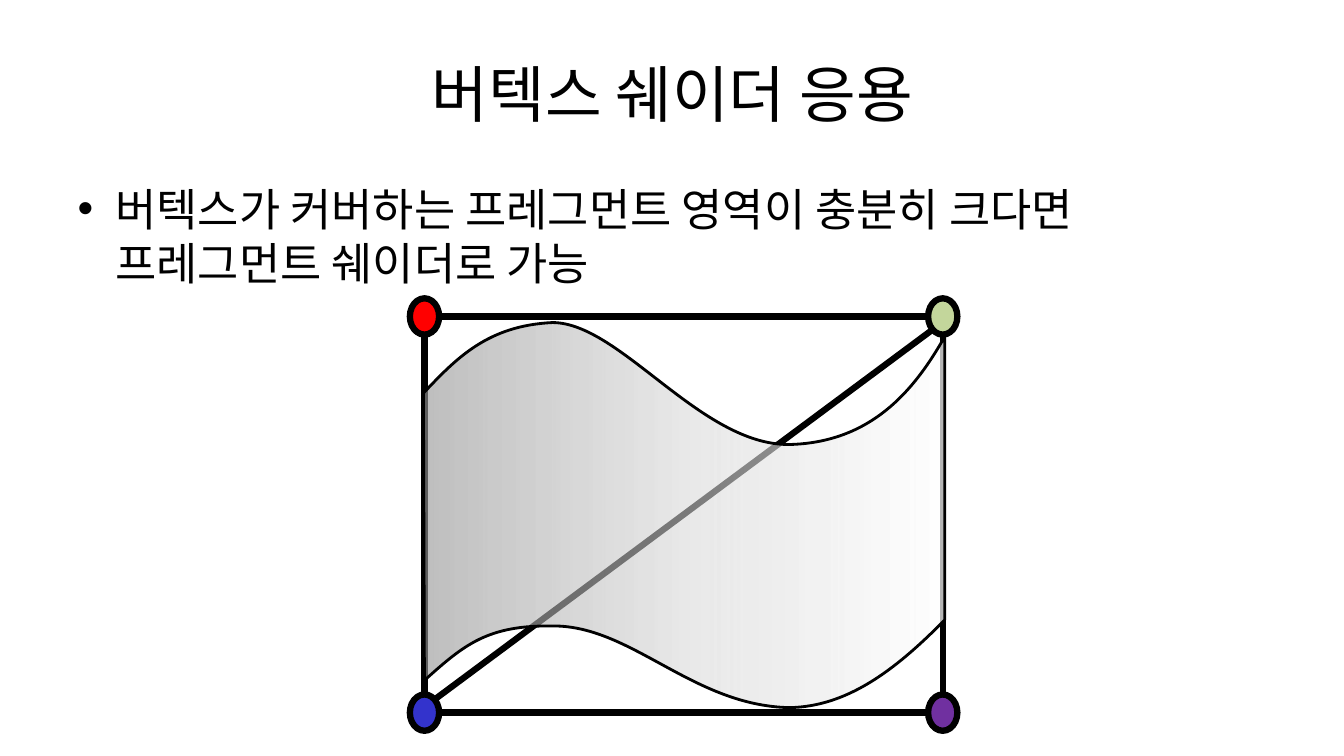
"""Build the slide on using a vertex shader in place of a fragment shader."""
from lxml.etree import SubElement
from pptx import Presentation
from pptx.dml.color import RGBColor
from pptx.enum.shapes import MSO_CONNECTOR as Connector, MSO_SHAPE as Shape
from pptx.enum.text import MSO_ANCHOR as Anchor, PP_ALIGN as Align
from pptx.oxml.ns import qn
from pptx.util import Inches, Pt

BLACK = RGBColor(0x00, 0x00, 0x00)
RED = RGBColor(0xFF, 0x00, 0x00)
BLUE = RGBColor(0x33, 0x33, 0xCC)
GREEN = RGBColor(0xC3, 0xD6, 0x9B)
PURPLE = RGBColor(0x70, 0x30, 0xA0)
DARK_GREY = RGBColor(0x97, 0x97, 0x97)
LIGHT_GREY = RGBColor(0xD7, 0xD7, 0xD7)
WHITE = RGBColor(0xFF, 0xFF, 0xFF)
FONT = "Noto Sans CJK KR"

LEFT, RIGHT, TOP, BOTTOM = 4.21, 9.35, 3.14, 7.07
VERTEX_W, VERTEX_H = 0.29, 0.36
RX, RY = VERTEX_W / 2, VERTEX_H / 2
SURFACE_LEFT, SURFACE_TOP = 420, 320


def write(placeholder, box, words, size):
    placeholder.left, placeholder.top, placeholder.width, placeholder.height = map(Inches, box)
    placeholder.text_frame.text = words
    paragraph = placeholder.text_frame.paragraphs[0]
    paragraph.space_before = Pt(0)
    paragraph.font.name = FONT
    paragraph.font.size = Pt(size)
    paragraph.font.color.rgb = BLACK
    return paragraph


deck = Presentation()
deck.slide_width, deck.slide_height = Inches(13.33), Inches(7.5)
slide = deck.slides.add_slide(deck.slide_layouts[1])
shapes = slide.shapes

heading = write(shapes.title, (0.67, 0.3, 12, 1.25), "버텍스 쉐이더 응용", 44)
heading.alignment = Align.CENTER
shapes.title.text_frame.vertical_anchor = Anchor.MIDDLE
write(
    slide.placeholders[1],
    (0.67, 1.75, 12, 4.95),
    "버텍스가 커버하는 프레그먼트 영역이 충분히 크다면 프레그먼트 쉐이더로 가능",
    32,
)

for x, y, color in (
    (LEFT, TOP, RED),
    (LEFT, BOTTOM, BLUE),
    (RIGHT, TOP, GREEN),
    (RIGHT, BOTTOM, PURPLE),
):
    vertex = shapes.add_shape(
        Shape.OVAL, Inches(x - RX), Inches(y - RY), Inches(VERTEX_W), Inches(VERTEX_H)
    )
    vertex.shadow.inherit = False
    vertex.fill.solid()
    vertex.fill.fore_color.rgb = color
    vertex.line.color.rgb = BLACK
    vertex.line.width = Pt(4.5)

for ends in (
    (LEFT + RX, TOP, RIGHT - RX, TOP),
    (LEFT, TOP + RY, LEFT, BOTTOM - RY),
    (RIGHT, TOP + RY, RIGHT, BOTTOM - RY),
    (LEFT + RX, BOTTOM, RIGHT - RX, BOTTOM),
    (RIGHT - 0.1, TOP + 0.13, LEFT + 0.1, BOTTOM - 0.13),
):
    edge = shapes.add_connector(Connector.STRAIGHT, *map(Inches, ends))
    edge.line.color.rgb = BLACK
    edge.line.width = Pt(4.5)
    SubElement(edge._element.spPr, qn("a:effectLst"))

surface_start = (420, 390)
surface_steps = (
    ((453, 355), (484, 323), (548, 320)),
    ((615, 320), (695, 442), (783, 441)),
    ((863, 439), (906, 389), (937, 334)),
    ((937, 615),),
    ((886, 667), (839, 701), (783, 702)),
    ((687, 700), (627, 621), (549, 621)),
    ((484, 620), (461, 639), (421, 675)),
)

builder = shapes.build_freeform(*surface_start, scale=Inches(0.01))
builder.add_line_segments([step[-1] for step in surface_steps], close=True)
surface = builder.convert_to_shape()
segments = list(surface._element.iter(qn("a:lnTo")))
for segment, step in zip(segments, surface_steps):
    if len(step) == 3:
        segment.tag = qn("a:cubicBezTo")
        segment.remove(segment[0])
        for x, y in step:
            SubElement(segment, qn("a:pt"), x=str(x - SURFACE_LEFT), y=str(y - SURFACE_TOP))

surface.shadow.inherit = False
surface.line.color.rgb = BLACK
surface.line.width = Pt(2)
surface.fill.gradient()
surface.fill.gradient_angle = 0
stops = surface._element.spPr.find(qn("a:gradFill")).find(qn("a:gsLst"))
stops.clear()
for position, color, opacity in ((0, DARK_GREY, 62), (50, LIGHT_GREY, 56), (100, WHITE, 71)):
    stop = SubElement(stops, qn("a:gs"), pos=str(position * 1000))
    tint = SubElement(stop, qn("a:srgbClr"), val=str(color))
    SubElement(tint, qn("a:alpha"), val=str(opacity * 1000))

deck.save("out.pptx")
